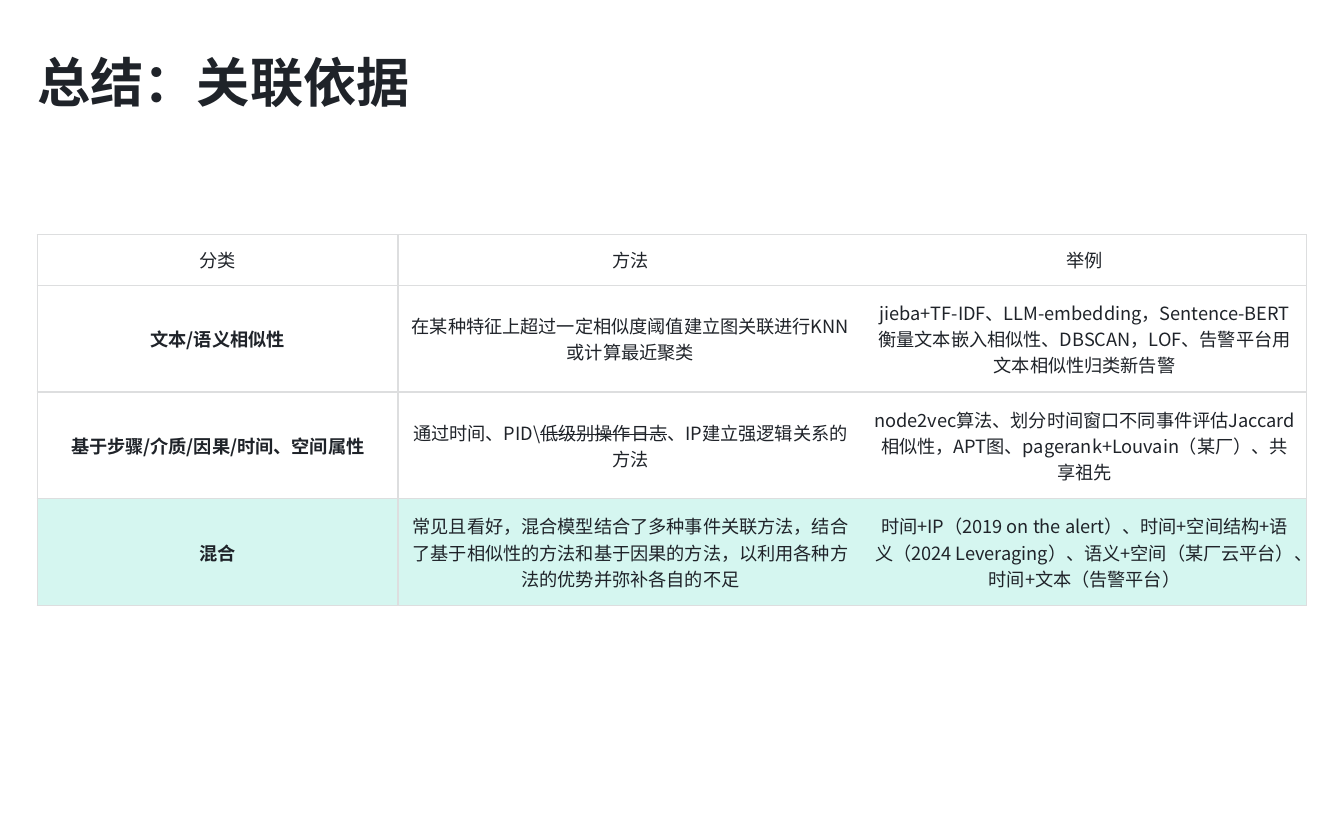
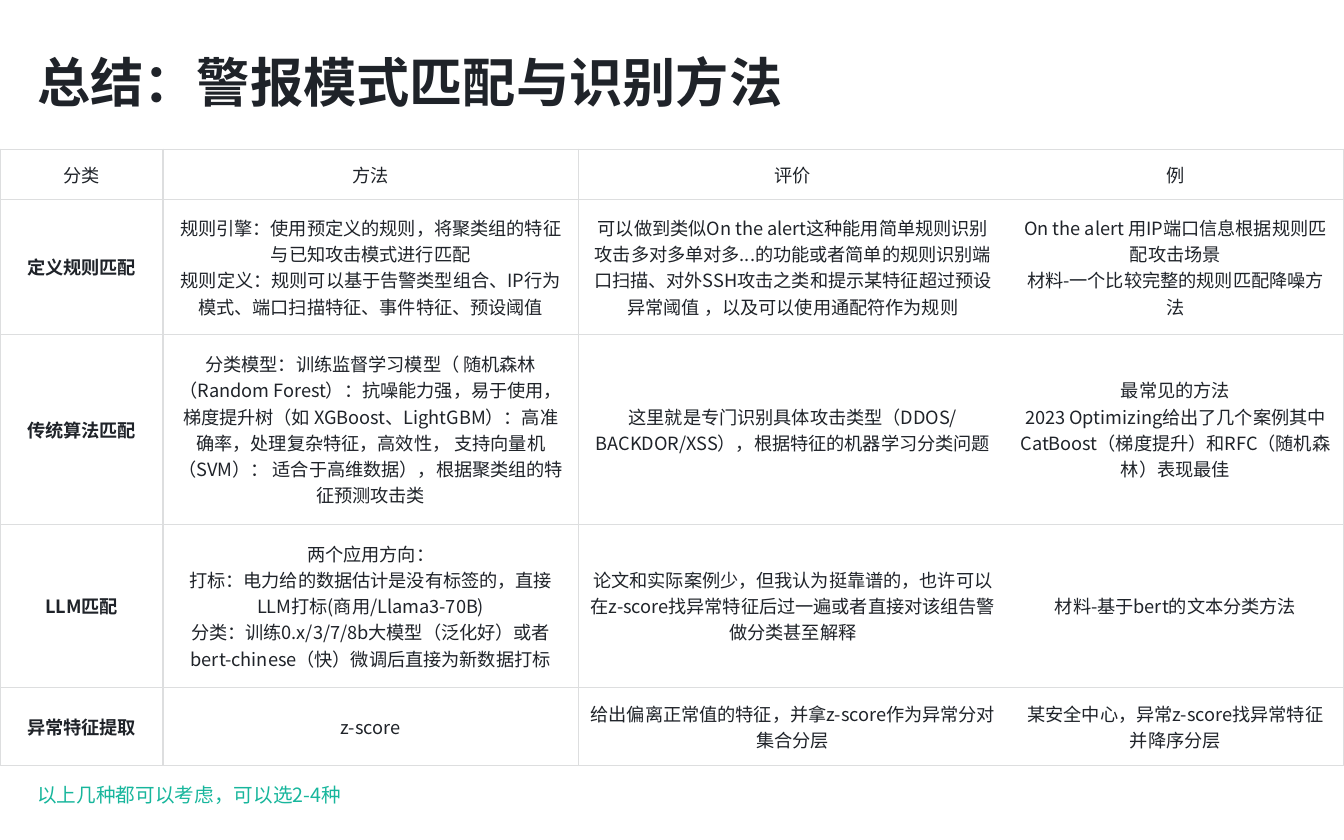
from lxml import etree
from pptx import Presentation
from pptx.dml.color import RGBColor
from pptx.enum.text import MSO_ANCHOR, PP_ALIGN
from pptx.oxml.ns import qn
from pptx.util import Cm, Pt

MIDDLE = MSO_ANCHOR.MIDDLE
LEFT, CENTER = PP_ALIGN.LEFT, PP_ALIGN.CENTER

FACE = "Noto Sans CJK SC"
INK, TEAL, MINT, WHITE, GRID = "1F2329", "17B69C", "D5F6F0", "FFFFFF", "DDDEDF"
EDGE = 0.94  # left margin of the text, cm

# Each table: left, top, column widths, row heights (cm), mint rows, cells.
# A line break starts a paragraph; ~ marks struck-out words.
slides = [
    ("总结：关联依据", None, EDGE, 5.92,
     [9.09, 11.71, 11.18], [1.27, 2.69, 2.69, 2.69], [3], [
         ["分类", "方法", "举例"],
         ["文本/语义相似性",
          "在某种特征上超过一定相似度阈值建立图关联进行KNN或计算最近聚类",
          "jieba+TF-IDF、LLM-embedding，Sentence-BERT衡量文本嵌入相似性、"
          "DBSCAN，LOF、告警平台用文本相似性归类新告警"],
         ["基于步骤/介质/因果/时间、空间属性",
          "通过时间、PID\\~低级别操作日志~、IP建立强逻辑关系的方法",
          "node2vec算法、划分时间窗口不同事件评估Jaccard相似性，APT图、"
          "pagerank+Louvain（某厂）、共享祖先"],
         ["混合",
          "常见且看好，混合模型结合了多种事件关联方法，结合了基于相似性的方法"
          "和基于因果的方法，以利用各种方法的优势并弥补各自的不足",
          "时间+IP（2019 on the alert）、时间+空间结构+语义（2024 Leveraging）、"
          "语义+空间（某厂云平台）、时间+文本（告警平台）"],
     ]),
    ("总结：警报模式匹配与识别方法", "以上几种都可以考虑，可以选2-4种", 0, 3.76,
     [4.11, 10.46, 10.82, 8.46], [1.27, 3.39, 4.8, 4.1, 1.98], [], [
         ["分类", "方法", "评价", "例"],
         ["定义规则匹配",
          "规则引擎：使⽤预定义的规则，将聚类组的特征与已知攻击模式进⾏匹配\n"
          "规则定义：规则可以基于告警类型组合、IP⾏为模式、端⼝扫描特征、"
          "事件特征、预设阈值",
          "可以做到类似On the alert这种能用简单规则识别攻击多对多单对多..."
          "的功能或者简单的规则识别端口扫描、对外SSH攻击之类和提示某特征超过"
          "预设异常阈值 ，以及可以使用通配符作为规则",
          "On the alert 用IP端口信息根据规则匹配攻击场景\n"
          "材料-一个比较完整的规则匹配降噪方法"],
         ["传统算法匹配",
          "分类模型：训练监督学习模型（ 随机森林（Random Forest）：抗噪能⼒强，"
          "易于使⽤，梯度提升树（如 XGBoost、LightGBM）：⾼准确率，处理复杂特征，"
          "⾼效性， ⽀持向量机（SVM）： 适合于⾼维数据），根据聚类组的特征预测攻击类",
          "这里就是专门识别具体攻击类型（DDOS/BACKDOR/XSS），"
          "根据特征的机器学习分类问题",
          "最常见的方法\n2023 Optimizing给出了几个案例其中CatBoost（梯度提升）"
          "和RFC（随机森林）表现最佳"],
         ["LLM匹配",
          "两个应用方向：\n"
          "打标：电力给的数据估计是没有标签的，直接LLM打标(商用/Llama3-70B)\n"
          "分类：训练0.x/3/7/8b大模型（泛化好）或者bert-chinese（快）"
          "微调后直接为新数据打标",
          "论文和实际案例少，但我认为挺靠谱的，也许可以在z-score找异常特征后"
          "过一遍或者直接对该组告警做分类甚至解释",
          "材料-基于bert的文本分类方法"],
         ["异常特征提取", "z-score",
          "给出偏离正常值的特征，并拿z-score作为异常分对集合分层",
          "某安全中心，异常z-score找异常特征并降序分层"],
     ]),
]


def write(frame, text, size, color=INK, bold=False, align=LEFT, space=1.0):
    frame.word_wrap = True
    for i, line in enumerate(text.split("\n")):
        para = frame.add_paragraph() if i else frame.paragraphs[0]
        para.alignment, para.line_spacing = align, space
        for j, part in enumerate(line.split("~")):
            run = para.add_run()
            run.text = part
            if j % 2:
                run.font._rPr.set("strike", "sngStrike")
        font = para.font
        font.name, font.size, font.bold = FACE, Pt(size), bold
        font.color.rgb = RGBColor.from_string(color)
        etree.SubElement(font._rPr, qn("a:ea"), typeface=FACE)


def label(slide, text, top, width, height, size, color=INK, bold=False):
    box = slide.shapes.add_textbox(Cm(EDGE), Cm(top), Cm(width), Cm(height))
    frame = box.text_frame
    frame.margin_left = frame.margin_right = 0
    frame.margin_top = frame.margin_bottom = 0
    frame.vertical_anchor = MIDDLE
    write(frame, text, size, color, bold, space=1.25)


deck = Presentation()
deck.slide_width, deck.slide_height = Cm(33.87), Cm(21.17)

for title, note, left, top, widths, heights, mint, rows in slides:
    slide = deck.slides.add_slide(deck.slide_layouts[6])
    label(slide, title, 0.85, 20.1, 2, 38, bold=True)

    # Table grid
    table = slide.shapes.add_table(
        len(rows), len(widths), Cm(left), Cm(top),
        Cm(sum(widths)), Cm(sum(heights))).table
    table.first_row = table.horz_banding = False
    for col, width in zip(table.columns, widths):
        col.width = Cm(width)
    for row, height in zip(table.rows, heights):
        row.height = Cm(height)

    # Cells: no line between the last two columns
    last = len(widths) - 1
    for r, row in enumerate(rows):
        for c, text in enumerate(row):
            cell = table.cell(r, c)
            cell.margin_left = cell.margin_right = Cm(0.28)
            cell.margin_top = cell.margin_bottom = Cm(0.28)
            cell.vertical_anchor = MIDDLE
            bare = {last: "L", last - 1: "R"}.get(c)
            for side in "LRTB":
                line = etree.SubElement(cell._tc.get_or_add_tcPr(),
                                        qn("a:ln" + side), w=str(Pt(1)))
                if side == bare:
                    etree.SubElement(line, qn("a:noFill"))
                else:
                    fill = etree.SubElement(line, qn("a:solidFill"))
                    etree.SubElement(fill, qn("a:srgbClr"), val=GRID)
            cell.fill.solid()
            shade = MINT if r in mint else WHITE
            cell.fill.fore_color.rgb = RGBColor.from_string(shade)
            write(cell.text_frame, text, 13, bold=r > 0 and c == 0, align=CENTER)

    # Closing note
    if note:
        label(slide, note, 19.58, 8.53, 0.74, 14, TEAL)

deck.save("out.pptx")
